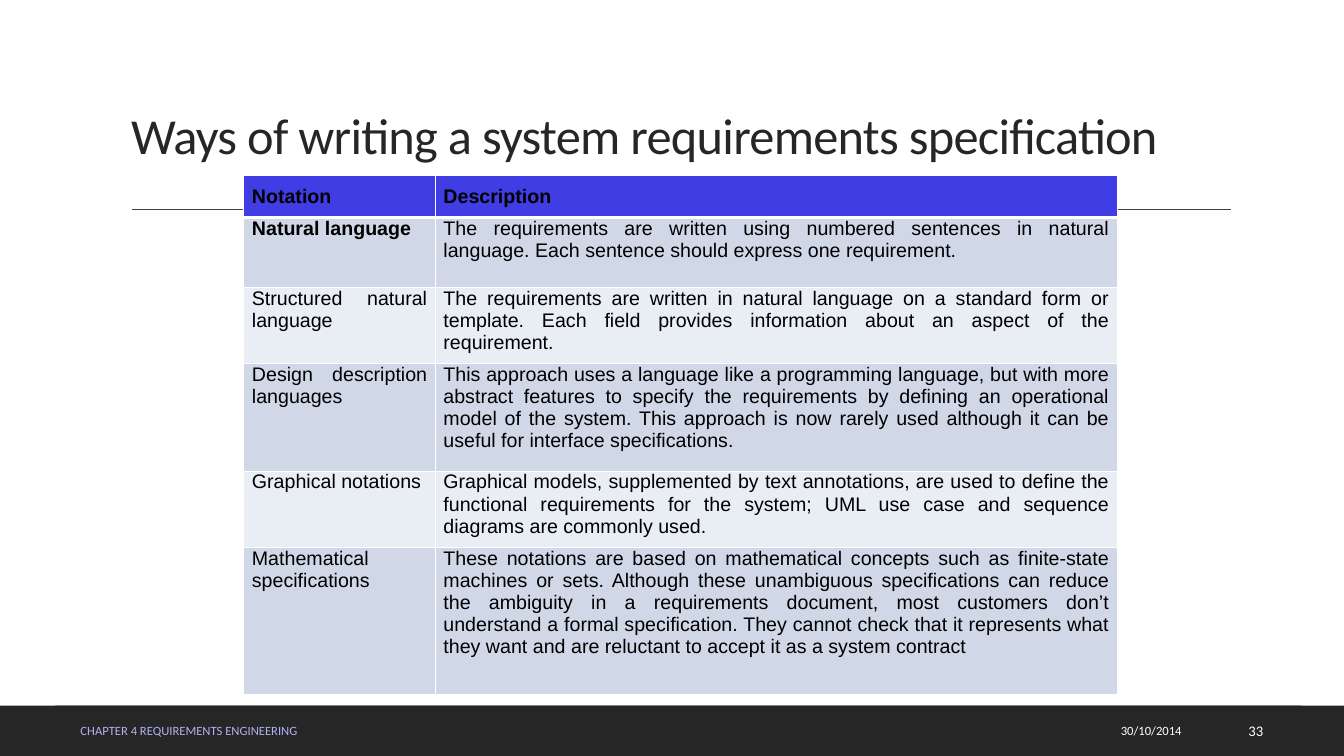
"""Build the slide on ways of writing a system requirements specification."""
from dataclasses import dataclass

from lxml.etree import SubElement
from pptx import Presentation
from pptx.dml.color import RGBColor
from pptx.enum.shapes import MSO_CONNECTOR, MSO_SHAPE
from pptx.enum.text import MSO_ANCHOR, MSO_AUTO_SIZE, PP_ALIGN
from pptx.oxml.ns import qn
from pptx.slide import Slide
from pptx.table import _Cell
from pptx.text.text import TextFrame
from pptx.util import Pt


@dataclass(frozen=True)
class Theme:
    heading_font: str = "Calibri"
    table_font: str = "Arial"
    dark: str = "262626"
    rule: str = "404040"
    white: str = "FFFFFF"
    black: str = "000000"
    footer: str = "B2B1F4"
    header_fill: str = "3F3DE3"
    band_fills: tuple[str, str] = ("E9EDF4", "D0D8E8")
    title_size: float = 36
    table_size: float = 14
    footer_size: float = 9
    number_size: float = 10.5


@dataclass(frozen=True)
class Box:
    left: float
    top: float
    width: float
    height: float

    def lengths(self) -> tuple[Pt, Pt, Pt, Pt]:
        return Pt(self.left), Pt(self.top), Pt(self.width), Pt(self.height)


@dataclass(frozen=True)
class FooterText:
    text: str
    box: Box
    size: float
    color: str
    alignment: PP_ALIGN = PP_ALIGN.RIGHT


@dataclass(frozen=True)
class NotationRow:
    notation: str
    description: str
    height: float


THEME = Theme()
SLIDE_SIZE = (960, 540)
TITLE = "Ways of writing a system requirements specification"
TITLE_BOX = Box(86.4, 22.3, 792, 99.4)
TITLE_RULE = Box(94.3, 149.8, 784.8, 0)
FOOTER_BANDS = (
    Box(0, 504, 960, 36),
    Box(39.6, 504, 890, 36),
    Box(48.2, 507.6, 892.8, 28.8),
)
FOOTER_TEXTS = (
    FooterText("CHAPTER 4 REQUIREMENTS ENGINEERING", Box(50.4, 507.6, 537.1, 28.8),
               THEME.footer_size, THEME.footer, PP_ALIGN.LEFT),
    FooterText("30/10/2014", Box(647.3, 507.6, 203.8, 28.8), THEME.footer_size, THEME.white),
    FooterText("33", Box(860.4, 507.6, 49, 28.8), THEME.number_size, THEME.white),
)
TABLE_ORIGIN = (174.2, 125.3)
COLUMN_WIDTHS = (136.8, 487.4)
ROWS = (
    NotationRow("Notation", "Description", 28.8),
    NotationRow(
        "Natural language",
        "The requirements are written using numbered sentences in natural language. "
        "Each sentence should express one requirement.", 49.7),
    NotationRow(
        "Structured natural language",
        "The requirements are written in natural language on a standard form or template. "
        "Each field provides information about an aspect of the requirement.", 49.7),
    NotationRow(
        "Design description languages",
        "This approach uses a language like a programming language, but with more abstract "
        "features to specify the requirements by defining an operational model of the system. "
        "This approach is now rarely used although it can be useful for interface "
        "specifications.", 77),
    NotationRow(
        "Graphical notations",
        "Graphical models, supplemented by text annotations, are used to define the functional "
        "requirements for the system; UML use case and sequence diagrams are commonly used.",
        49.7),
    NotationRow(
        "Mathematical specifications",
        "These notations are based on mathematical concepts such as finite-state machines or "
        "sets. Although these unambiguous specifications can reduce the ambiguity in a "
        "requirements document, most customers don’t understand a formal specification. They "
        "cannot check that it represents what they want and are reluctant to accept it as a "
        "system contract", 105.1),
)


def set_attributes(target: object, values: dict[str, object]) -> None:
    for name, value in values.items():
        setattr(target, name, value)


def write_text(frame: TextFrame, text: str, font: str, size: float, color: str,
               alignment: PP_ALIGN, bold: bool = False) -> None:
    paragraph = frame.paragraphs[0]
    paragraph.alignment = alignment
    run = paragraph.add_run()
    run.text = text
    set_attributes(run.font, {"name": font, "size": Pt(size), "bold": bold})
    run.font.color.rgb = RGBColor.from_string(color)


def add_footer_band(slide: Slide, box: Box) -> None:
    shape = slide.shapes.add_shape(MSO_SHAPE.RECTANGLE, *box.lengths())
    shape.shadow.inherit = False
    shape.fill.solid()
    shape.fill.fore_color.rgb = RGBColor.from_string(THEME.dark)
    shape.line.fill.background()


def add_title_rule(slide: Slide) -> None:
    left, top, width, height = TITLE_RULE.lengths()
    connector = slide.shapes.add_connector(
        MSO_CONNECTOR.STRAIGHT, left, top, left + width, top + height)
    connector.line.width = Pt(1)
    connector.line.color.rgb = RGBColor.from_string(THEME.rule)
    SubElement(connector._element.spPr, qn("a:effectLst"))


def add_title(slide: Slide) -> None:
    title = slide.shapes.title
    set_attributes(title, dict(zip(("left", "top", "width", "height"), TITLE_BOX.lengths())))
    frame = title.text_frame
    set_attributes(frame, {"word_wrap": True, "auto_size": MSO_AUTO_SIZE.NONE,
                           "vertical_anchor": MSO_ANCHOR.BOTTOM})
    write_text(frame, TITLE, THEME.heading_font, THEME.title_size, THEME.dark, PP_ALIGN.LEFT)
    paragraph = frame.paragraphs[0]
    paragraph.line_spacing = 0.9
    paragraph.runs[0]._r.get_or_add_rPr().set("spc", "-50")


def add_footer_text(slide: Slide, footer: FooterText) -> None:
    frame = slide.shapes.add_textbox(*footer.box.lengths()).text_frame
    set_attributes(frame, {"word_wrap": True, "vertical_anchor": MSO_ANCHOR.MIDDLE})
    write_text(frame, footer.text, THEME.heading_font, footer.size, footer.color,
               footer.alignment)


def format_cell(cell: _Cell, row_index: int, fill: str) -> None:
    set_attributes(cell, {"margin_left": Pt(5.76), "margin_right": Pt(5.76),
                          "margin_top": Pt(0 if row_index else 7.2), "margin_bottom": Pt(7.2)})
    border_widths = {"lnL": 1, "lnR": 1, "lnT": 3 if row_index == 1 else 1,
                     "lnB": 1 if row_index else 3}
    properties = cell._tc.get_or_add_tcPr()
    for tag, width in border_widths.items():
        border = SubElement(properties, qn(f"a:{tag}"), w=str(Pt(width)))
        SubElement(SubElement(border, qn("a:solidFill")), qn("a:srgbClr"), val=THEME.white)
    cell.fill.solid()
    cell.fill.fore_color.rgb = RGBColor.from_string(fill)


def add_notation_table(slide: Slide) -> None:
    box = Box(*TABLE_ORIGIN, sum(COLUMN_WIDTHS), sum(row.height for row in ROWS))
    table = slide.shapes.add_table(len(ROWS), len(COLUMN_WIDTHS), *box.lengths()).table
    set_attributes(table, {"first_row": False, "horz_banding": False})
    for column, width in zip(table.columns, COLUMN_WIDTHS):
        column.width = Pt(width)
    for row_index, row in enumerate(ROWS):
        table.rows[row_index].height = Pt(row.height)
        fill = THEME.band_fills[row_index % 2] if row_index else THEME.header_fill
        for column_index, text in enumerate((row.notation, row.description)):
            cell = table.cell(row_index, column_index)
            format_cell(cell, row_index, fill)
            is_first = row_index == column_index == 0
            write_text(cell.text_frame, text, THEME.table_font, THEME.table_size, THEME.black,
                       PP_ALIGN.LEFT if is_first else PP_ALIGN.JUSTIFY,
                       bold=row_index + column_index < 2 and row_index < 2)


def main() -> None:
    presentation = Presentation()
    presentation.slide_width, presentation.slide_height = map(Pt, SLIDE_SIZE)
    slide = presentation.slides.add_slide(presentation.slide_layouts.get_by_name("Title Only"))
    for band in FOOTER_BANDS:
        add_footer_band(slide, band)
    add_title_rule(slide)
    add_title(slide)
    add_notation_table(slide)
    for footer in FOOTER_TEXTS:
        add_footer_text(slide, footer)
    presentation.save("out.pptx")


if __name__ == "__main__":
    main()
